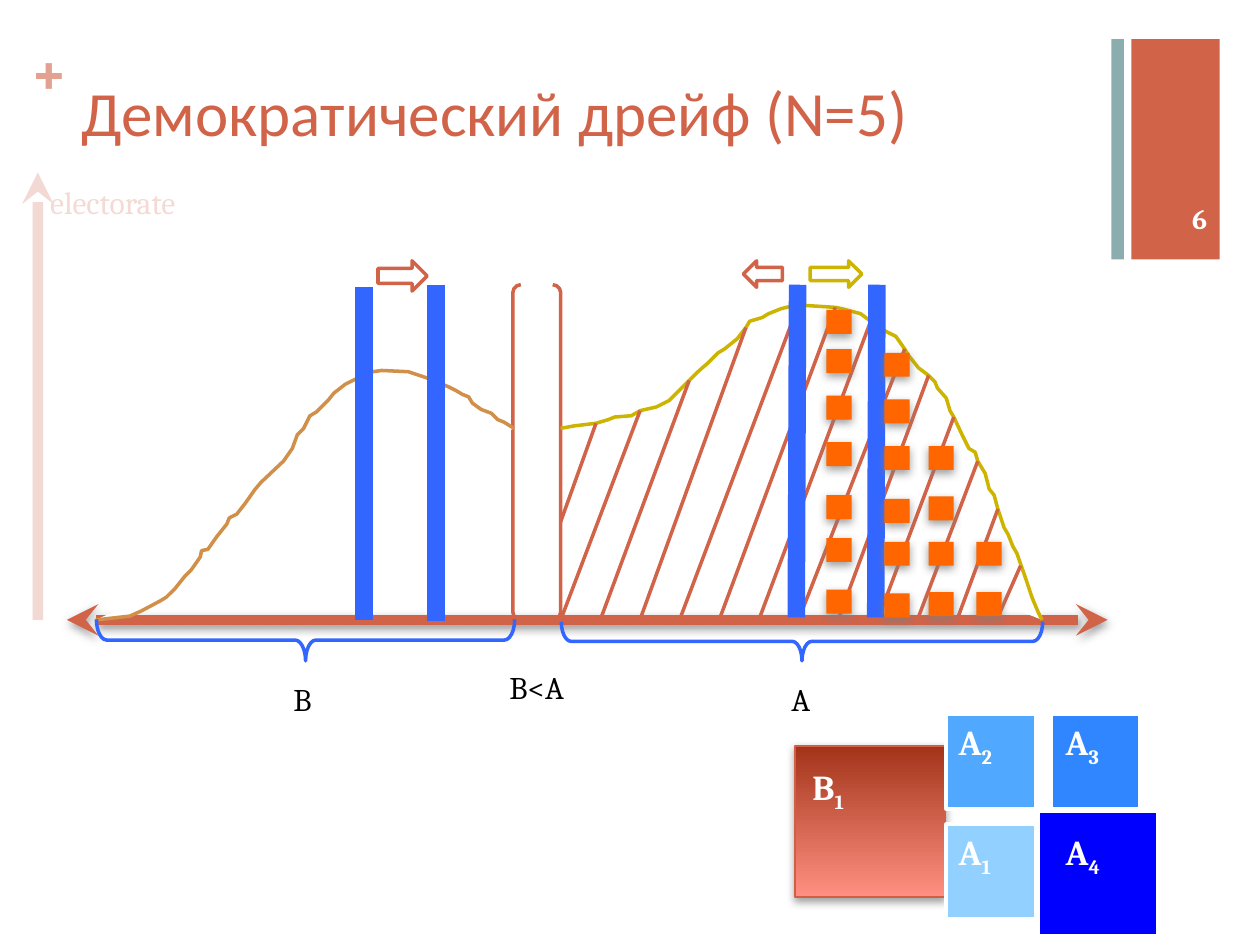
from lxml.etree import SubElement
from pptx import Presentation
from pptx.dml.color import RGBColor
from pptx.enum.shapes import MSO_CONNECTOR as CONNECTOR, MSO_SHAPE as SHAPE
from pptx.enum.text import MSO_ANCHOR as ANCHOR, PP_ALIGN as ALIGN
from pptx.oxml import parse_xml
from pptx.oxml.ns import nsdecls, qn
from pptx.util import Inches, Pt

RUST = RGBColor(0xD1, 0x63, 0x49)
PALE_RUST = RGBColor(0xE3, 0xA1, 0x92)
FADED_RUST = RGBColor(0xF4, 0xDA, 0xD4)
EDGE_RUST = RGBColor(0xD0, 0x5F, 0x44)
DARK_RED = RGBColor(0xA3, 0x34, 0x1A)
LIGHT_RED = RGBColor(0xFF, 0x90, 0x81)
TEAL = RGBColor(0x8C, 0xAD, 0xAE)
TAN = RGBColor(0xD1, 0x90, 0x49)
OLIVE = RGBColor(0xCC, 0xB4, 0x00)
BLUE = RGBColor(0x33, 0x66, 0xFF)
DEEP_BLUE = RGBColor(0x00, 0x00, 0xFF)
STRONG_BLUE = RGBColor(0x2F, 0x86, 0xFF)
MIDDLE_BLUE = RGBColor(0x51, 0xA8, 0xFF)
SKY_BLUE = RGBColor(0x92, 0xD1, 0xFF)
ORANGE = RGBColor(0xFF, 0x66, 0x00)
WHITE = RGBColor(0xFF, 0xFF, 0xFF)
BLACK = RGBColor(0x00, 0x00, 0x00)

SHADOW = (
    f'<a:effectLst {nsdecls("a")}><a:outerShdw blurRad="63500" dist="25400" '
    'dir="5400000" rotWithShape="0"><a:srgbClr val="808080"><a:alpha val="75000"/>'
    '</a:srgbClr></a:outerShdw></a:effectLst>'
)
NO_SHADOW = f'<a:effectLst {nsdecls("a")}/>'
BASE = 4.92


def paint(shape, fill=None, line=None, width=2, shadow=False):
    if hasattr(shape, "fill"):
        if fill is None:
            shape.fill.background()
        else:
            shape.fill.solid()
            shape.fill.fore_color.rgb = fill
    if line is None:
        shape.line.fill.background()
    else:
        shape.line.color.rgb = line
        shape.line.width = Pt(width)
    shape._element.spPr.append(parse_xml(SHADOW if shadow else NO_SHADOW))
    return shape


def add_text(box, text, size, color, bold=False, align=ALIGN.LEFT, inset=None):
    frame = slide.shapes.add_textbox(*map(Inches, box)).text_frame
    frame.word_wrap = True
    if inset is not None:
        for side in ("left", "top", "right", "bottom"):
            setattr(frame, f"margin_{side}", Inches(inset))
    paragraph = frame.paragraphs[0]
    paragraph.alignment = align
    run = paragraph.add_run()
    run.text = text
    font_format = {"name": "Cambria", "size": Pt(size), "bold": bold}
    for name, value in font_format.items():
        setattr(run.font, name, value)
    run.font.color.rgb = color
    return paragraph


presentation = Presentation()
presentation.slide_width = Inches(10)
presentation.slide_height = Inches(7.5)
slide = presentation.slides.add_slide(presentation.slide_layouts[5])
shapes = slide.shapes

title = shapes.title
title_box = {"left": 0.55, "top": 0.53, "width": 8.26, "height": 1.22}
for name, value in title_box.items():
    setattr(title, name, Inches(value))
title.text_frame.text = "Демократический дрейф (N=5)"
title.text_frame.vertical_anchor = ANCHOR.TOP
title_paragraph = title.text_frame.paragraphs[0]
title_paragraph.alignment = ALIGN.LEFT
title_font = title_paragraph.runs[0].font
for name, value in {"name": "Calibri", "size": Pt(36), "bold": False}.items():
    setattr(title_font, name, value)
title_font.color.rgb = RUST

for box, color in [((8.98, 0.31, 0.7, 1.75), RUST), ((8.82, 0.31, 0.1, 1.75), TEAL)]:
    paint(shapes.add_shape(SHAPE.RECTANGLE, *map(Inches, box)), color)
add_text((0.24, 0.25, 0.29, 0.61), "+", 36, PALE_RUST, True, inset=0)
add_text((9.25, 1.55, 0.43, 0.37), "6", 16, WHITE, True, ALIGN.RIGHT)

axes = [
    ((0.53, BASE, 8.79, BASE), ("headEnd", "tailEnd"), 100, True),
    ((0.3, BASE, 0.3, 1.37), ("tailEnd",), 24, False),
]
for ends, arrowheads, opacity, shadow in axes:
    axis = shapes.add_connector(CONNECTOR.STRAIGHT, *map(Inches, ends))
    paint(axis, line=RUST, width=6, shadow=shadow)
    outline = axis.line._get_or_add_ln()
    for arrowhead in arrowheads:
        SubElement(outline, qn(f"a:{arrowhead}"), type="stealth")
    if opacity < 100:
        color_element = outline.find(".//" + qn("a:srgbClr"))
        SubElement(color_element, qn("a:alpha"), val=str(opacity * 1000))
add_text((0.3, 1.4, 1.3, 0.4), "electorate", 18, FADED_RUST)

bracket_box = map(Inches, (4.07, 2.26, 0.38, 2.66))
paint(shapes.add_shape(SHAPE.DOUBLE_BRACKET, *bracket_box), line=RUST)

left_curve = [
    (0.76, 4.92), (1.03, 4.89), (1.12, 4.85), (1.27, 4.77), (1.32, 4.74), (1.39, 4.67),
    (1.47, 4.57), (1.52, 4.52), (1.59, 4.42), (1.6, 4.37), (1.65, 4.36), (1.72, 4.26),
    (1.8, 4.16), (1.82, 4.11), (1.88, 4.08), (1.95, 3.99), (2.02, 3.89), (2.07, 3.83),
    (2.25, 3.66), (2.32, 3.56), (2.36, 3.45), (2.41, 3.4), (2.46, 3.3), (2.51, 3.27),
    (2.61, 3.17), (2.65, 3.12), (2.74, 3.05), (2.84, 3), (2.89, 2.97), (2.96, 2.95),
    (3.03, 2.94), (3.24, 2.95), (3.39, 3), (3.44, 3.02), (3.56, 3.07), (3.62, 3.1),
    (3.67, 3.13), (3.72, 3.15), (3.75, 3.2), (3.82, 3.25), (3.9, 3.28), (3.95, 3.33),
    (4, 3.35), (4.08, 3.4),
]
right_curve = [
    (4.45, 3.4), (4.56, 3.38), (4.73, 3.36), (4.83, 3.33), (4.88, 3.31), (5.01, 3.3),
    (5.08, 3.26), (5.21, 3.23), (5.31, 3.18), (5.39, 3.1), (5.47, 3.02), (5.54, 2.95),
    (5.62, 2.88), (5.7, 2.8), (5.75, 2.77), (5.85, 2.69), (5.92, 2.6), (5.95, 2.55),
    (6.05, 2.52), (6.1, 2.49), (6.2, 2.45), (6.32, 2.42), (6.63, 2.44), (6.68, 2.45),
    (6.83, 2.49), (6.91, 2.55), (7.01, 2.62), (7.11, 2.67), (7.18, 2.77), (7.21, 2.82),
    (7.29, 2.92), (7.37, 2.98), (7.42, 3.03), (7.44, 3.08), (7.51, 3.16), (7.54, 3.26),
    (7.57, 3.31), (7.64, 3.46), (7.69, 3.56), (7.74, 3.59), (7.76, 3.66), (7.82, 3.76),
    (7.85, 3.88), (7.89, 3.93), (7.92, 4.04), (7.97, 4.19), (8, 4.24), (8.04, 4.34),
    (8.07, 4.39), (8.14, 4.59), (8.19, 4.74), (8.24, 4.86), (8.27, 4.92),
]
for curve, color in [(left_curve, TAN), (right_curve, OLIVE)]:
    points = [(Inches(x), Inches(y)) for x, y in curve]
    builder = shapes.build_freeform(*points[0])
    builder.add_line_segments(points[1:], close=False)
    paint(builder.convert_to_shape(), WHITE, color)

hatch_tops = [
    (5.08, 3.26), (5.47, 3.02), (5.92, 2.6), (6.33, 2.44), (6.63, 2.44), (6.91, 2.55),
    (7.18, 2.77), (7.37, 2.98), (7.57, 3.31), (7.76, 3.66), (7.92, 4.04), (8.1, 4.49),
]
hatch_step = (7.91 - 4.45) / (len(hatch_tops) - 1)
lines = [
    ((*top, 4.45 + index * hatch_step, BASE), RUST, 2)
    for index, top in enumerate(hatch_tops)
]
lines.append(((4.73, 3.36, 4.45, 4.14), RUST, 2))
bars = [(6.33, 2.26, 6.32, 4.9), (2.89, 2.28, 2.89, 4.92),
        (3.46, 2.26, 3.46, 4.93), (6.96, 2.26, 6.95, 4.9)]
lines += [(bar, BLUE, 10) for bar in bars]
for ends, color, width in lines:
    connector = shapes.add_connector(CONNECTOR.STRAIGHT, *map(Inches, ends))
    paint(connector, line=color, width=width)

for box in [(6.21, 3.18, 0.31, 3.82), (2.26, 3.42, 0.33, 3.32)]:
    brace = paint(shapes.add_shape(SHAPE.LEFT_BRACE, *map(Inches, box)), line=BLUE)
    brace.rotation = 270
    brace.adjustments[0] = 0.25

add_text((6.04, 5.35, 0.63, 0.4), "A", 18, BLACK, align=ALIGN.CENTER)
add_text((2.23, 5.35, 0.66, 0.4), "B", 18, BLACK)
add_text((3.76, 5.25, 1, 0.4), "B<A", 18, BLACK, align=ALIGN.CENTER)

party_box = map(Inches, (6.31, 5.92, 1.19, 1.2))
party = paint(shapes.add_shape(SHAPE.RECTANGLE, *party_box), WHITE, EDGE_RUST, 1, True)
party.fill.gradient()
party.fill.gradient_angle = 270
for stop, color in zip(party.fill.gradient_stops, (DARK_RED, LIGHT_RED)):
    stop.color.rgb = color
for box, color in [
    ((8.24, 6.44, 0.95, 0.99), DEEP_BLUE),
    ((8.34, 5.67, 0.71, 0.75), STRONG_BLUE),
    ((7.51, 6.54, 0.71, 0.75), SKY_BLUE),
    ((7.51, 5.67, 0.71, 0.75), MIDDLE_BLUE),
]:
    paint(shapes.add_shape(SHAPE.RECTANGLE, *map(Inches, box)), color, WHITE)

for letter, number, left, top in [
    ("B", "1", 6.35, 6.03), ("A", "2", 7.51, 5.67), ("A", "3", 8.36, 5.67),
    ("A", "1", 7.51, 6.54), ("A", "4", 8.36, 6.54),
]:
    paragraph = add_text((left, top, 0.73, 0.74), letter, 20, WHITE, True)
    subscript = paragraph.add_run()
    subscript.text = number
    for name, value in {"name": "Cambria", "size": Pt(20), "bold": True}.items():
        setattr(subscript.font, name, value)
    subscript.font.color.rgb = WHITE
    subscript.font._element.set("baseline", "-25000")

for box, kind, color in [
    ((3, 2.07, 0.39, 0.24), SHAPE.RIGHT_ARROW, RUST),
    ((6.43, 2.07, 0.41, 0.21), SHAPE.RIGHT_ARROW, OLIVE),
    ((5.9, 2.07, 0.31, 0.21), SHAPE.LEFT_ARROW, RUST),
]:
    paint(shapes.add_shape(kind, *map(Inches, box)), WHITE, color)

square_columns = {
    6.56: (2.46, 2.77, 3.14, 3.51, 3.93, 4.27, 4.68),
    7.02: (2.8, 3.17, 3.54, 3.96, 4.3, 4.71),
    7.37: (3.54, 3.94, 4.3, 4.7),
    7.75: (4.3, 4.7),
}
for left, tops in square_columns.items():
    for top in tops:
        box = map(Inches, (left, top, 0.2, 0.19))
        paint(shapes.add_shape(SHAPE.RECTANGLE, *box), ORANGE, shadow=True)

presentation.save("out.pptx")
